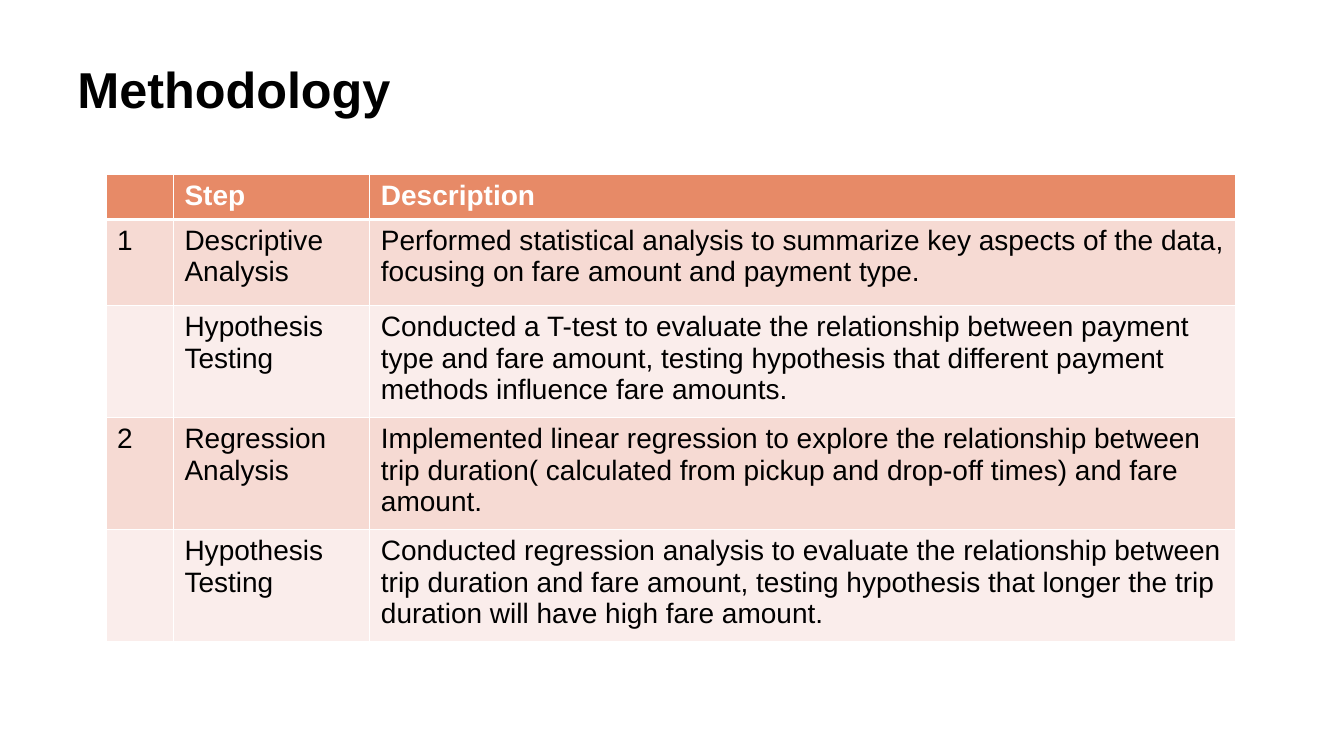
from lxml import etree
from pptx import Presentation
from pptx import util as u
from pptx.dml.color import RGBColor
from pptx.enum import text
from pptx.oxml.ns import qn

Cm = u.Cm
FONT = "Arial"
COLORS = {
    "black": "000000",
    "white": "FFFFFF",
    "header": "E78A67",
    "band_dark": "F6DAD3",
    "band_light": "FAEDEB",
}
COLUMN_WIDTHS = [1.7, 4.95, 21.82]
ROW_HEIGHTS = [1.05, 2.18, 2.82, 2.82, 2.82]
ROWS = [
    ["", "Step", "Description"],
    ["1", "Descriptive Analysis",
     "Performed statistical analysis to summarize key aspects of the data, "
     "focusing on fare amount and payment type."],
    ["", "Hypothesis Testing",
     "Conducted a T-test to evaluate the relationship between payment type and "
     "fare amount, testing hypothesis that different payment methods influence "
     "fare amounts."],
    ["2", "Regression Analysis",
     "Implemented linear regression to explore the relationship between trip "
     "duration( calculated from pickup and drop-off times) and fare amount."],
    ["", "Hypothesis Testing",
     "Conducted regression analysis to evaluate the relationship between trip "
     "duration and fare amount, testing hypothesis that longer the trip duration "
     "will have high fare amount."],
]


def rgb(name):
    return RGBColor.from_string(COLORS[name])


def format_runs(p, size, color, bold):
    for r in p.runs:
        r.font.name = FONT
        r.font.size = u.Pt(size)
        r.font.bold = bold
        r.font.color.rgb = rgb(color)


def add_title(s, title):
    sp = s.shapes.add_textbox(Cm(1.7), Cm(1.52), Cm(29.6), Cm(3.15))
    tf = sp.text_frame
    tf.word_wrap = True
    tf.vertical_anchor = text.MSO_ANCHOR.TOP
    tf.text = title
    p = tf.paragraphs[0]
    p.line_spacing = 0.9
    format_runs(p, 36, "black", True)


def set_borders(cell, top, bottom):
    """Draw white borders, with the top and bottom widths in points."""
    tcPr = cell._tc.get_or_add_tcPr()
    widths = {"a:lnL": 1, "a:lnR": 1, "a:lnT": top, "a:lnB": bottom}
    for i, (tag, width) in enumerate(widths.items()):
        ln = etree.Element(qn(tag), w=str(u.Pt(width)))
        fill = etree.SubElement(ln, qn("a:solidFill"))
        etree.SubElement(fill, qn("a:srgbClr"), val=COLORS["white"])
        tcPr.insert(i, ln)


def fill_cell(cell, value, row):
    header = row == 0
    cell.margin_left = cell.margin_right = Cm(0.28)
    cell.margin_top = cell.margin_bottom = Cm(0.14)
    cell.text = value
    format_runs(cell.text_frame.paragraphs[0], 20,
                "white" if header else "black", header)
    band = "band_dark" if row % 2 else "band_light"
    cell.fill.solid()
    cell.fill.fore_color.rgb = rgb("header" if header else band)
    set_borders(cell, top=3 if row == 1 else 1, bottom=3 if header else 1)


def add_steps_table(s):
    frame = s.shapes.add_table(
        len(ROWS), len(COLUMN_WIDTHS), Cm(2.67), Cm(4.4),
        Cm(sum(COLUMN_WIDTHS)), Cm(sum(ROW_HEIGHTS)))
    table = frame.table
    for column, width in zip(table.columns, COLUMN_WIDTHS):
        column.width = Cm(width)
    for row, height in zip(table.rows, ROW_HEIGHTS):
        row.height = Cm(height)
    for i, values in enumerate(ROWS):
        for j, value in enumerate(values):
            fill_cell(table.cell(i, j), value, i)


def main():
    prs = Presentation()
    prs.slide_width, prs.slide_height = Cm(33.87), Cm(19.05)
    s = prs.slides.add_slide(prs.slide_layouts[6])
    add_title(s, "Methodology")
    add_steps_table(s)
    prs.save("out.pptx")


if __name__ == "__main__":
    main()
